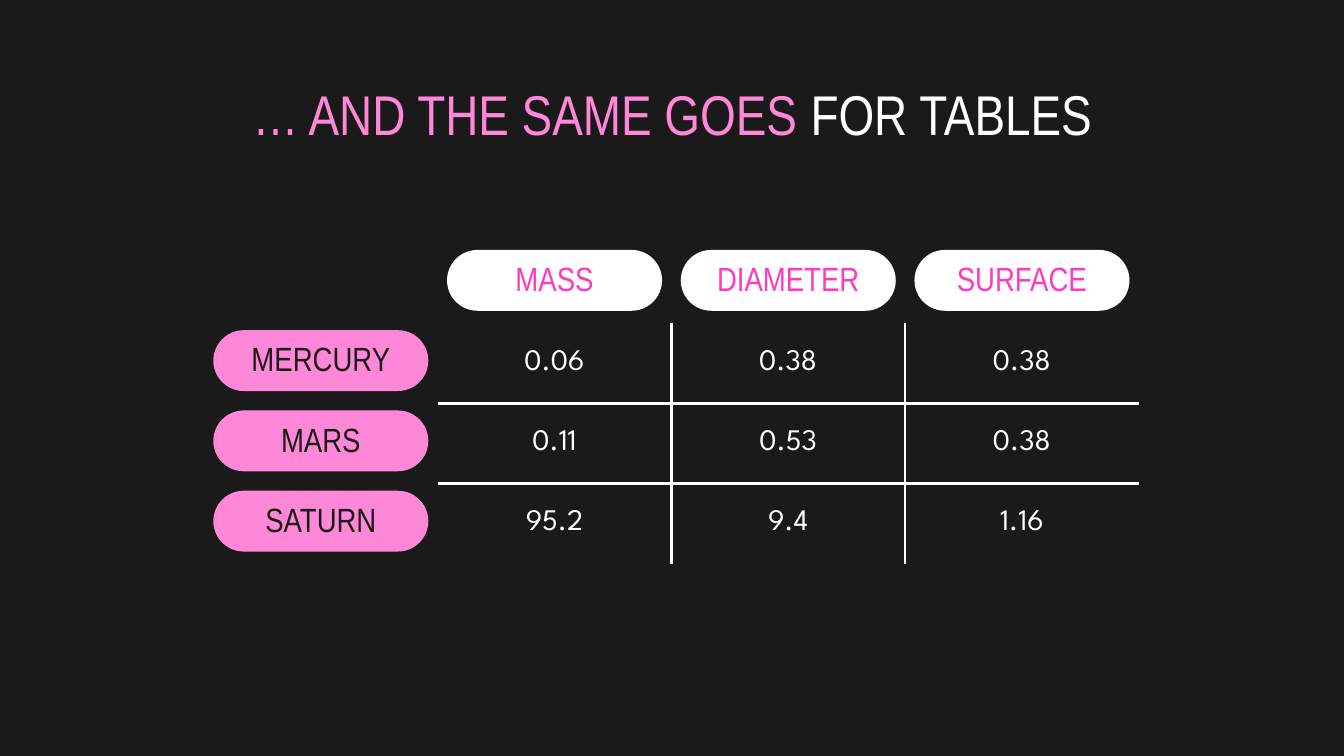
import pptx
import pptx.dml.color
import pptx.enum.shapes
import pptx.enum.text
import pptx.oxml
import pptx.oxml.ns
import pptx.util

Pt = pptx.util.Pt
RGBColor = pptx.dml.color.RGBColor
CENTER = pptx.enum.text.PP_ALIGN.CENTER
MIDDLE = pptx.enum.text.MSO_ANCHOR.MIDDLE

DARK = RGBColor(0x1A, 0x1A, 0x1A)
WHITE = RGBColor(0xFF, 0xFF, 0xFF)
PINK = RGBColor(0xFF, 0x87, 0xD7)
HOT_PINK = RGBColor(0xFF, 0x3A, 0xBD)

COLUMN_HEAD = {"name": "Arial Narrow", "size": Pt(18), "color": HOT_PINK}
ROW_HEAD = {"name": "Arial Narrow", "size": Pt(18), "color": DARK}
FIGURE = {"name": "League Spartan", "size": Pt(16), "color": WHITE}

ROWS = [
    ["", "MASS", "DIAMETER", "SURFACE"],
    ["MERCURY", "0.06", "0.38", "0.38"],
    ["MARS", "0.11", "0.53", "0.38"],
    ["SATURN", "95.2", "9.4", "1.16"],
]
LEFT, TOP = 109.3, 130.2
COLUMN_WIDTH, ROW_HEIGHT = 125.2, 43
PILL_WIDTH, PILL_HEIGHT = 115.2, 32.6
PILL_INSET_X, PILL_INSET_Y = 5, 3.7
NO_STYLE_NO_GRID = "{2D5ABB26-0587-4C30-8999-92F81FD0307C}"


def format_font(font, values):
    for name, value in values.items():
        if name == "color":
            font.color.rgb = value
        else:
            setattr(font, name, value)


def add_border(cell, position, side):
    line = pptx.oxml.parse_xml(
        f'<a:ln{side} {pptx.oxml.ns.nsdecls("a")} w="{Pt(1.5)}">'
        f'<a:solidFill><a:srgbClr val="{WHITE}"/></a:solidFill></a:ln{side}>'
    )
    cell._tc.get_or_add_tcPr().insert(position, line)


deck = pptx.Presentation()
deck.slide_width, deck.slide_height = Pt(720), Pt(405)
page = deck.slides.add_slide(deck.slide_layouts[5])
page.background.fill.solid()
page.background.fill.fore_color.rgb = DARK

# Title
title = page.shapes.title
title.left, title.top, title.width, title.height = Pt(56.7), Pt(35.2), Pt(607), Pt(45.4)
frame = title.text_frame
frame_format = {
    "margin_left": Pt(7.2), "margin_right": Pt(7.2),
    "margin_top": Pt(7.2), "margin_bottom": Pt(7.2),
    "vertical_anchor": pptx.enum.text.MSO_ANCHOR.TOP,
    "auto_size": pptx.enum.text.MSO_AUTO_SIZE.NONE,
    "word_wrap": True,
}
for name, value in frame_format.items():
    setattr(frame, name, value)
para = frame.paragraphs[0]
para.alignment = CENTER
for text, color in [("… AND THE SAME GOES ", PINK), ("FOR TABLES", WHITE)]:
    span = para.add_run()
    span.text = text
    format_font(span.font, {"name": "Arial Narrow", "size": Pt(30), "color": color})

# Pills behind the column and row headings
pill_cells = [(0, column) for column in (1, 2, 3)] + [(row, 0) for row in (1, 2, 3)]
for row, column in pill_cells:
    pill = page.shapes.add_shape(
        pptx.enum.shapes.MSO_SHAPE.ROUNDED_RECTANGLE,
        Pt(LEFT + column * COLUMN_WIDTH + PILL_INSET_X),
        Pt(TOP + row * ROW_HEIGHT + PILL_INSET_Y),
        Pt(PILL_WIDTH), Pt(PILL_HEIGHT),
    )
    pill.adjustments[0] = 0.5
    pill.shadow.inherit = False
    pill.fill.solid()
    pill.fill.fore_color.rgb = WHITE if row == 0 else PINK
    pill.line.fill.background()

# Table
table = page.shapes.add_table(
    4, 4, Pt(LEFT), Pt(TOP), Pt(4 * COLUMN_WIDTH), Pt(4 * ROW_HEIGHT)
).table
table.first_row = table.horz_banding = False
table._tbl.tblPr.find(pptx.oxml.ns.qn("a:tableStyleId")).text = NO_STYLE_NO_GRID
for column in table.columns:
    column.width = Pt(COLUMN_WIDTH)
for row in table.rows:
    row.height = Pt(ROW_HEIGHT)

for row, texts in enumerate(ROWS):
    for column, text in enumerate(texts):
        cell = table.cell(row, column)
        cell.fill.background()
        cell.vertical_anchor = MIDDLE
        cell.margin_left = cell.margin_right = Pt(7.2)
        cell.margin_top = cell.margin_bottom = Pt(7.2)
        para = cell.text_frame.paragraphs[0]
        para.alignment = CENTER
        if text:
            span = para.add_run()
            span.text = text
            style = COLUMN_HEAD if row == 0 else ROW_HEAD if column == 0 else FIGURE
            format_font(span.font, style)

        # Rules only between the figures
        if row and column:
            inner = {"L": column > 1, "R": column < 3, "T": row > 1, "B": row < 3}
            sides = [side for side, shown in inner.items() if shown]
            for position, side in enumerate(sides):
                add_border(cell, position, side)

deck.save("out.pptx")
